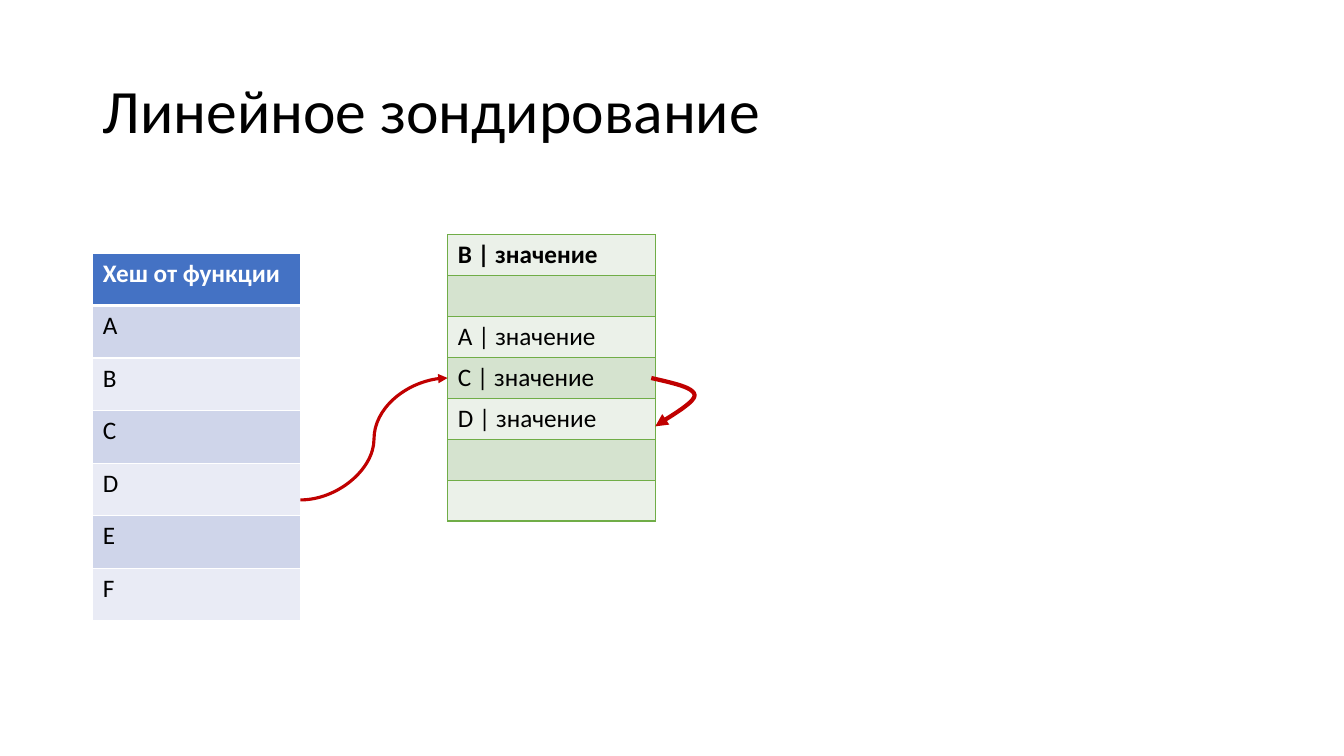
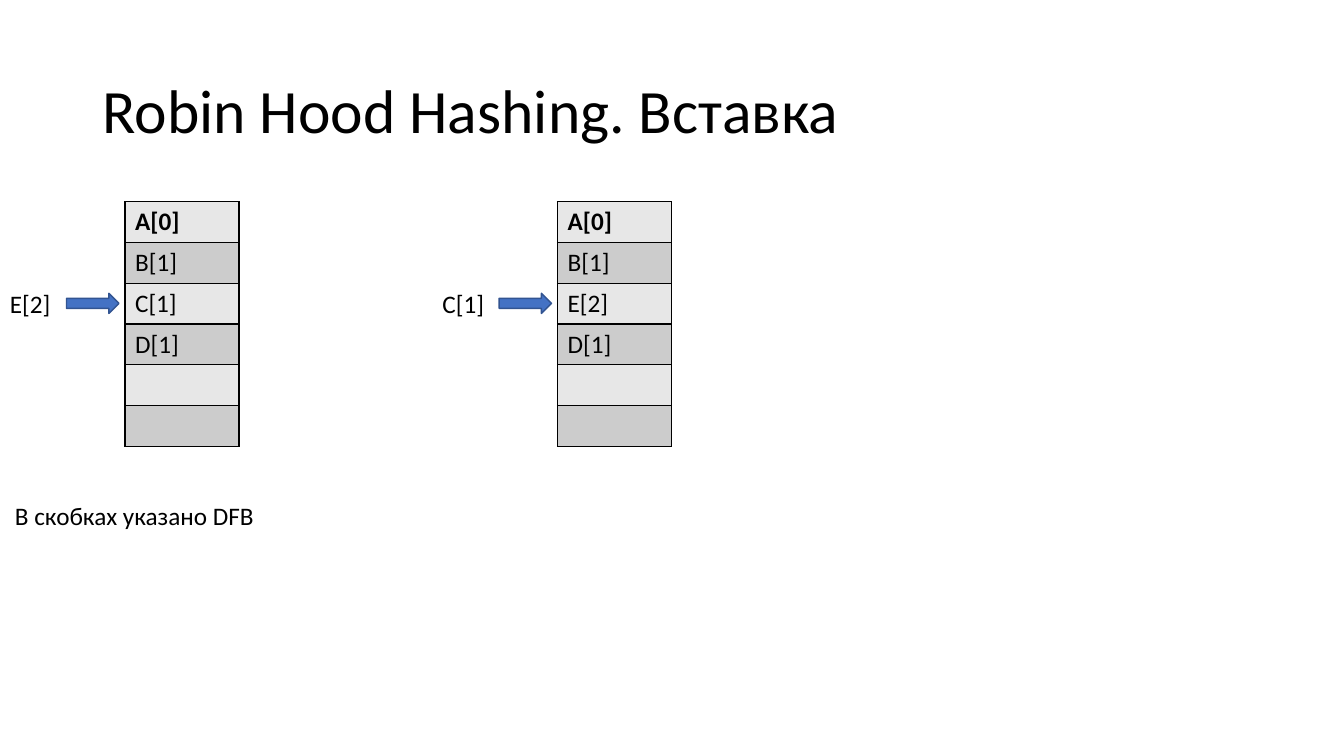
from lxml.etree import SubElement
from pptx import Presentation
from pptx.dml.color import RGBColor
from pptx.enum.shapes import MSO_CONNECTOR, MSO_SHAPE
from pptx.enum.text import MSO_ANCHOR
from pptx.oxml.ns import qn
from pptx.util import Inches, Pt

HEX = {
    "black": "000000", "white": "FFFFFF", "red": "C00000",
    "blue": "4472C4", "navy": "325491", "green": "70AD47",
    "blue1": "CFD5EA", "blue2": "E9EBF5",
    "green1": "EBF1E9", "green2": "D5E3CF",
    "gray1": "E7E7E7", "gray2": "CCCCCC",
}


def color(name):
    return RGBColor.from_string(HEX[name])


def curve(start, bends, steps=12):
    """Points along a chain of cubic curves, each given as two handles and an end."""
    points = [start]
    for one, two, end in bends:
        for step in range(1, steps + 1):
            t = step / steps
            parts = ((1 - t) ** 3, 3 * t * (1 - t) ** 2, 3 * t * t * (1 - t), t ** 3)
            points.append(tuple(
                sum(part * dot[axis] for part, dot in zip(parts, (start, one, two, end)))
                for axis in (0, 1)))
        start = end
    return points


class Deck:
    font = {"name": "Calibri", "size": Pt(18), "bold": False}

    def __init__(self):
        self.show = Presentation()
        self.show.slide_width = Inches(13.33)
        self.show.slide_height = Inches(7.5)

    def page(self, title):
        self.slide = self.show.slides.add_slide(self.show.slide_layouts[6])
        frame = self.text(title, 0.92, 0.4, 11.5, 1.45, wrap=True, size=Pt(44))
        frame.vertical_anchor = MSO_ANCHOR.MIDDLE
        frame.paragraphs[0].line_spacing = 0.9

    def label(self, frame, words, ink="black", **form):
        run = frame.paragraphs[0].add_run()
        run.text = words
        for key, value in {**self.font, **form}.items():
            setattr(run.font, key, value)
        run.font.color.rgb = color(ink)

    def text(self, words, x, y, w, h=0.4, wrap=False, **form):
        frame = self.slide.shapes.add_textbox(
            Inches(x), Inches(y), Inches(w), Inches(h)).text_frame
        frame.word_wrap = wrap
        self.label(frame, words, **form)
        return frame

    def edge(self, cell, side, ink, width):
        line = SubElement(cell._tc.get_or_add_tcPr(), qn("a:ln" + side), w=str(Pt(width)))
        fill = SubElement(line, qn("a:solidFill"))
        SubElement(fill, qn("a:srgbClr"), val=HEX[ink])

    def table(self, rows, x, y, w, h, bands, rule, head=None):
        """One banded column; head fills the first row and thickens the rule below it."""
        grid = self.slide.shapes.add_table(
            len(rows), 1, Inches(x), Inches(y), Inches(w), Inches(h)).table
        grid.first_row = grid.horz_banding = False
        for index, words in enumerate(rows):
            grid.rows[index].height = Inches(h / len(rows))
            cell = grid.cell(index, 0)
            thick = {0: "B", 1: "T"}.get(index) if head else None
            for side in "LRTB":
                self.edge(cell, side, rule, 3 if side == thick else 1)
            top = head and index == 0
            cell.fill.solid()
            cell.fill.fore_color.rgb = color(head if top else bands[index % 2])
            if words:
                self.label(cell.text_frame, words, "white" if top else "black",
                           bold=index == 0)

    def stroke(self, shape, ink, width, tip=False):
        shape.line.color.rgb = color(ink)
        shape.line.width = Pt(width)
        if tip:
            SubElement(shape.line._get_or_add_ln(), qn("a:tailEnd"), type="triangle")

    def link(self, x1, y1, x2, y2):
        line = self.slide.shapes.add_connector(
            MSO_CONNECTOR.CURVE, Inches(x1), Inches(y1), Inches(x2), Inches(y2))
        self.stroke(line, "red", 2.25, tip=True)
        SubElement(line._element.spPr, qn("a:effectLst"))

    def loop(self, start, bends):
        first, *rest = [(Inches(x), Inches(y)) for x, y in curve(start, bends)]
        trace = self.slide.shapes.build_freeform(*first)
        trace.add_line_segments(rest, close=False)
        shape = trace.convert_to_shape()
        shape.shadow.inherit = False
        shape.fill.background()
        self.stroke(shape, "red", 3, tip=True)

    def arrow(self, x, y, w, h):
        shape = self.slide.shapes.add_shape(
            MSO_SHAPE.RIGHT_ARROW, Inches(x), Inches(y), Inches(w), Inches(h))
        shape.shadow.inherit = False
        shape.fill.solid()
        shape.fill.fore_color.rgb = color("blue")
        self.stroke(shape, "navy", 1)


def probe(deck):
    deck.page("Линейное зондирование")
    deck.table(["Хеш от функции", *"ABCDEF"], 0.92, 2.51, 2.06, 3.65,
               ("blue2", "blue1"), "white", head="blue")
    slots = [key and f"{key} | значение" for key in ("B", "", "A", "C", "D", "", "")]
    deck.table(slots, 4.44, 2.33, 2.06, 2.84, ("green1", "green2"), "green")
    deck.link(2.98, 4.96, 4.44, 3.75)
    deck.loop((6.46, 3.75), [((6.67, 3.8), (6.88, 3.84), (6.89, 3.92)),
                             ((6.9, 4), (6.54, 4.19), (6.5, 4.23))])


def insert(deck):
    deck.page("Robin Hood Hashing. Вставка")
    for x, fresh, held in ((1.24, "E[2]", "C[1]"), (5.53, "C[1]", "E[2]")):
        deck.table(["A[0]", "B[1]", held, "D[1]", "", ""], x, 2, 1.13, 2.43,
                   ("gray1", "gray2"), "black")
        deck.arrow(x - 0.58, 2.91, 0.52, 0.2)
        deck.text(fresh, x - 1.24, 2.81, 0.61)
    deck.text("В скобках указано DFB", 0.05, 4.91, 2.6)


def main():
    deck = Deck()
    probe(deck)
    insert(deck)
    deck.show.save("out.pptx")


if __name__ == "__main__":
    main()
